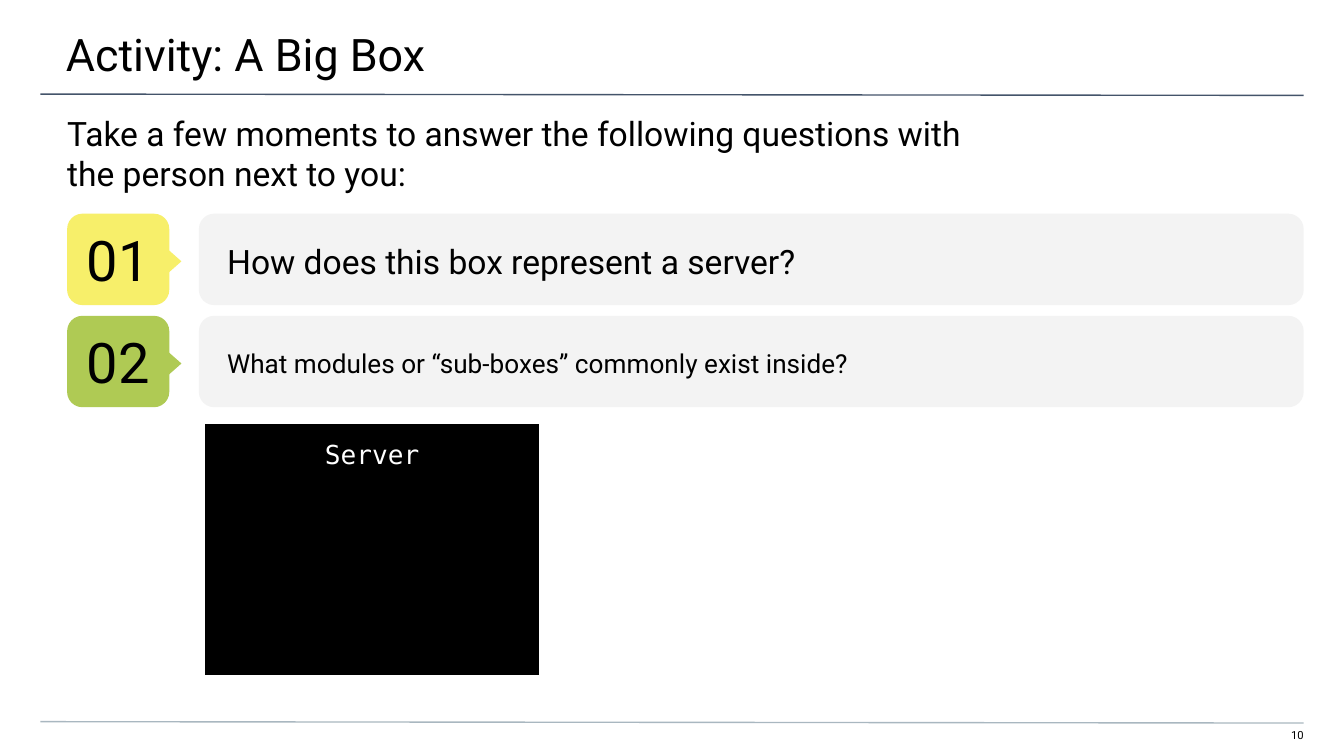
import pptx
import pptx.util
import pptx.dml.color
import pptx.enum.shapes
import pptx.enum.text
from lxml import etree

Inches = pptx.util.Inches
Pt = pptx.util.Pt
Kind = pptx.enum.shapes.MSO_SHAPE
Align = pptx.enum.text.PP_ALIGN
Anchor = pptx.enum.text.MSO_ANCHOR

COLORS = {
    "black": "000000",
    "white": "FFFFFF",
    "bar": "F3F3F3",
    "yellow": "F7EF6A",
    "green": "AFCA54",
    "head": "44546A",
    "foot": "A9B7C0",
}
ITEMS = [
    ("01", "yellow", "How does this box represent a server?", 18),
    ("02", "green", "What modules or “sub-boxes” commonly exist inside?", 14),
]
TOP = 1.59
STEP = 0.76
ROWS = 6
MERGED = (0, 2, 5)


def color(name):
    return pptx.dml.color.RGBColor.from_string(COLORS[name])


def place(shape, box):
    shape.left, shape.top, shape.width, shape.height = map(Inches, box)


def add_run(para, text, size, font="Roboto", tint="black"):
    run = para.add_run()
    run.text = text
    run.font.size = Pt(size)
    run.font.name = font
    run.font.color.rgb = color(tint)


def fill_text(shape, lines, size, insets, align=Align.LEFT, anchor=Anchor.TOP):
    frame = shape.text_frame
    frame.word_wrap = True
    frame.auto_size = pptx.enum.text.MSO_AUTO_SIZE.NONE
    frame.vertical_anchor = anchor
    (frame.margin_left, frame.margin_top,
     frame.margin_right, frame.margin_bottom) = map(Inches, insets)
    para = frame.paragraphs[0]
    para.alignment = align
    for i, line in enumerate(lines):
        if i:
            para.add_line_break()
        add_run(para, line, size)


def add_text(slide, box, lines, size, insets, **style):
    shape = slide.shapes.add_textbox(*map(Inches, box))
    fill_text(shape, lines, size, insets, **style)


def add_block(slide, kind, box, tint):
    shape = slide.shapes.add_shape(kind, *map(Inches, box))
    shape.shadow.inherit = False
    shape.fill.solid()
    shape.fill.fore_color.rgb = color(tint)
    shape.line.fill.background()
    return shape


def add_rule(slide, top, tint):
    ends = map(Inches, (0.3, top, 9.7, top + 0.01))
    line = slide.shapes.add_connector(
        pptx.enum.shapes.MSO_CONNECTOR.STRAIGHT, *ends)
    line.line.color.rgb = color(tint)
    line.line.width = Pt(0.75)
    etree.SubElement(line._element.spPr, pptx.oxml.ns.qn("a:effectLst"))


def add_item(slide, top, label, tint, text, size):
    add_block(slide, Kind.ROUNDED_RECTANGLE, (1.48, top, 8.22, 0.68), "bar")
    chip = add_block(slide, Kind.ROUNDED_RECTANGLE, (0.5, top, 0.76, 0.68), tint)
    fill_text(chip, [label], 30, [0.1] * 4, Align.CENTER, Anchor.MIDDLE)
    tip = add_block(slide, Kind.FLOWCHART_EXTRACT,
                    (1.06, top + 0.25, 0.37, 0.21), tint)
    tip.rotation = 90
    add_text(slide, (-0.01, top + 0.02, 10.03, 0.66), [text], size,
             (1.7, 0, 0.5, 0), anchor=Anchor.MIDDLE)


def add_border(cell):
    props = cell._tc.get_or_add_tcPr()
    for i, side in enumerate(("lnL", "lnR", "lnT", "lnB")):
        edge = etree.Element(pptx.oxml.ns.qn(f"a:{side}"), w=str(Pt(12)))
        fill = etree.SubElement(edge, pptx.oxml.ns.qn("a:solidFill"))
        etree.SubElement(fill, pptx.oxml.ns.qn("a:srgbClr"), val=COLORS["black"])
        props.insert(i, edge)


def style_cell(cell):
    cell.fill.solid()
    cell.fill.fore_color.rgb = color("black")
    cell.margin_left = cell.margin_right = 0
    cell.margin_top = cell.margin_bottom = 0
    cell.vertical_anchor = Anchor.MIDDLE
    add_border(cell)
    end = cell.text_frame.paragraphs[0]._p.get_or_add_endParaRPr()
    end.set("sz", "800")


def add_server(slide):
    box = map(Inches, (1.6, 3.23, 2.34, 1.72))
    table = slide.shapes.add_table(ROWS, 2, *box).table
    table.first_row = False
    table.horz_banding = False
    for col in table.columns:
        col.width = Inches(1.17)
    for i, row in enumerate(table.rows):
        row.height = Inches(0.28 if i else 0.32)
        for cell in row.cells:
            style_cell(cell)
    for i in MERGED:
        table.cell(i, 0).merge(table.cell(i, 1))
    para = table.cell(0, 0).text_frame.paragraphs[0]
    para.alignment = Align.CENTER
    add_run(para, "Server", 14, "DejaVu Sans Mono", "white")


def main():
    deck = pptx.Presentation()
    deck.slide_width = Inches(10)
    deck.slide_height = Inches(10 * 9 / 16)
    slide = deck.slides.add_slide(deck.slide_layouts[5])

    add_text(slide, (9.41, 5.42, 0.29, 0.12), ["10"], 6,
             (0, 0, 0, 0.1), align=Align.RIGHT)
    add_rule(slide, 5.37, "foot")
    add_rule(slide, 0.7, "head")

    title = slide.shapes.title
    place(title, (-0.01, 0, 10.03, 0.58))
    fill_text(title, ["Activity: A Big Box"], 24, (0.5, 0.2, 0.3, 0.1))
    add_text(slide, (0, 0.74, 10, 0.4),
             ["Take a few moments to answer the following questions with ",
              "the person next to you:"], 18, (0.5, 0.1, 0.5, 0))

    for i, item in enumerate(ITEMS):
        add_item(slide, TOP + i * STEP, *item)
    add_server(slide)
    deck.save("out.pptx")


if __name__ == "__main__":
    main()
